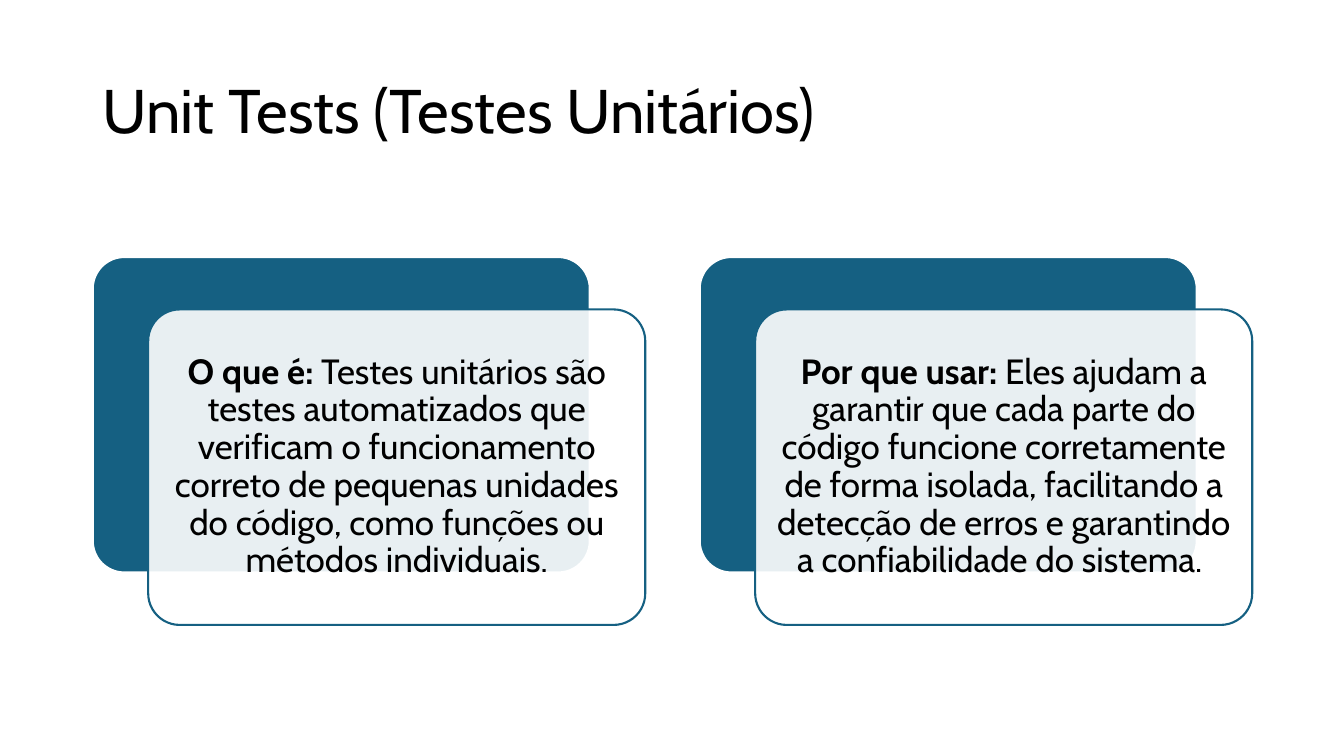
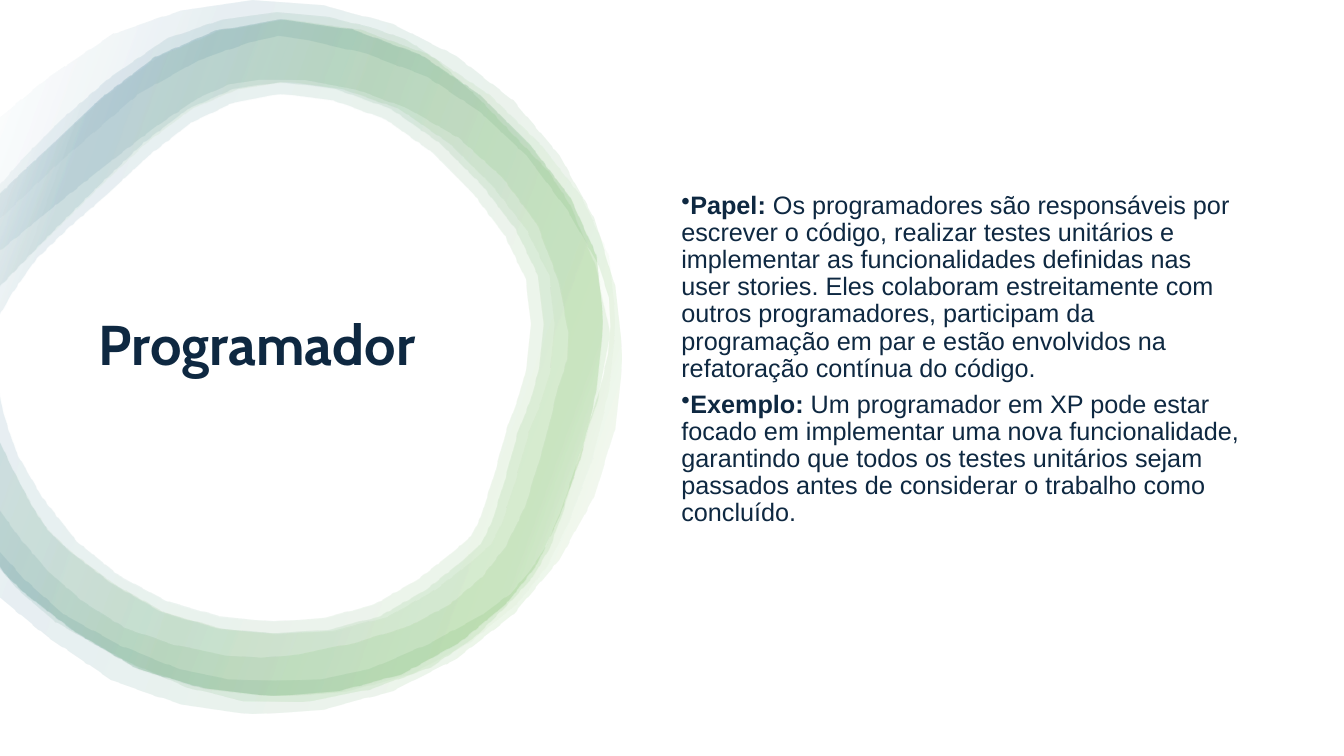
import dataclasses
import math
import typing

import lxml.etree
import pptx
import pptx.dml.color
import pptx.enum.shapes
import pptx.enum.text
import pptx.oxml.ns
import pptx.util

Inches = pptx.util.Inches
RGBColor = pptx.dml.color.RGBColor
Align = pptx.enum.text.PP_ALIGN
qn = pptx.oxml.ns.qn

WHITE = RGBColor(0xFF, 0xFF, 0xFF)
BLACK = RGBColor(0x00, 0x00, 0x00)
BLUE = RGBColor(0x15, 0x60, 0x82)
GREEN = RGBColor(0x4E, 0xA7, 0x2E)
NAVY = RGBColor(0x0E, 0x28, 0x41)
HEADING_FONT = "Cabin"
BODY_FONT = "Arial"
TITLE_ONLY = 5
RING_OPACITY = 10
RING_ANGLE = 200
CURVE_STEPS = 2

Points = list[tuple[float, float]]
Stops = list[tuple[int, RGBColor]]


@dataclasses.dataclass(frozen=True)
class Area:
    left: float
    top: float
    width: float
    height: float

    def lengths(self) -> tuple:
        return tuple(Inches(side) for side in dataclasses.astuple(self))


@dataclasses.dataclass(frozen=True)
class Statement:
    label: str
    text: str


@dataclasses.dataclass(frozen=True)
class Ring:
    outer: Points
    inner: Points
    stops: Stops
    stretch: float = 1.0


CARDS = [
    Statement(
        "O que é:",
        " Testes unitários são testes automatizados que verificam o funcionamento "
        "correto de pequenas unidades do código, como funções ou métodos individuais.",
    ),
    Statement(
        "Por que usar:",
        " Eles ajudam a garantir que cada parte do código funcione corretamente de "
        "forma isolada, facilitando a detecção de erros e garantindo a confiabilidade "
        "do sistema. ",
    ),
]
DUTIES = [
    Statement(
        "Papel:",
        " Os programadores são responsáveis por escrever o código, realizar testes "
        "unitários e implementar as funcionalidades definidas nas user stories. Eles "
        "colaboram estreitamente com outros programadores, participam da programação "
        "em par e estão envolvidos na refatoração contínua do código.",
    ),
    Statement(
        "Exemplo:",
        " Um programador em XP pode estar focado em implementar uma nova "
        "funcionalidade, garantindo que todos os testes unitários sejam passados "
        "antes de considerar o trabalho como concluído.",
    ),
]

WAVY_OUTER = [
    (-0.01, 1.85), (0.6, 1.2), (1.65, 0.39), (2.74, 0.13), (3.72, 0.29), (4.33, 0.6),
    (5.15, 1.41), (5.65, 2.04), (6.04, 3.3), (5.73, 4.54), (5.44, 5.44), (5.04, 5.98),
    (4.27, 6.61), (2.99, 6.96), (1.85, 6.81), (0.55, 6.16), (-0.01, 5.62),
]
WAVY_INNER = [
    (-0.01, 5.04), (0.48, 5.66), (1.24, 6.22), (2.23, 6.49), (2.96, 6.48), (4.06, 6.2),
    (4.77, 5.72), (5.2, 5.02), (5.53, 3.83), (5.63, 3.3), (5.32, 2.23), (4.54, 1.37),
    (3.52, 0.89), (2.58, 0.8), (1.96, 0.98), (1.04, 1.65), (-0.01, 2.5),
]
BAND_OUTER = [
    (-0.01, 1.93), (0.55, 1.4), (1.54, 0.56), (2.78, 0.19), (4.17, 0.54),
    (5.25, 1.43), (5.91, 2.53), (5.91, 3.87), (5.53, 5.15), (5.02, 5.98), (3.99, 6.68),
    (2.7, 6.9), (1.36, 6.63), (0.26, 5.89), (-0.01, 5.59),
]
THIN_INNER = [
    (-0.01, 4.35), (0.33, 5.03), (0.69, 5.46), (1.61, 6.07), (2.7, 6.28),
    (3.76, 6.11), (4.59, 5.55), (4.87, 5.18), (5.13, 4.28), (5.34, 3.66),
    (5.33, 2.73), (4.78, 1.84), (3.88, 1.08), (2.78, 0.81), (1.86, 1.08),
    (0.98, 1.84), (-0.01, 2.85),
]
THICK_INNER = [
    (-0.01, 3.84), (0.17, 4.49), (0.77, 5.37), (1.66, 5.96), (2.71, 6.16),
    (3.71, 5.99), (4.5, 5.46), (4.76, 5.13), (5.02, 4.25), (5.22, 3.62),
    (5.21, 2.77), (4.69, 1.92), (3.82, 1.18), (2.78, 0.93), (1.9, 1.21),
    (1.07, 1.92), (0.36, 2.57), (-0.01, 3.14),
]
CIRCLE_RADIUS = 3.54
CIRCLE_OUTER = [
    (2.62 + CIRCLE_RADIUS * math.cos(angle), CIRCLE_RADIUS * (1 + math.sin(angle)))
    for angle in map(math.radians, range(222, 499, 23))
]
CIRCLE_INNER = [
    (-0.01, 5.45), (0.64, 6.09), (1.78, 6.63), (2.72, 6.74), (3.65, 6.63), (4.77, 6.09),
    (5.23, 5.67), (5.53, 5.11), (5.93, 3.86), (6.04, 3.23), (5.91, 2.6), (5.21, 1.54),
    (4.23, 0.76), (3.07, 0.4), (2.46, 0.42), (1.37, 0.93), (-0.01, 2.18),
]
BAND_STOPS = [(2, WHITE), (16, GREEN), (85, BLUE), (100, WHITE)]
RINGS = [
    Ring(WAVY_OUTER, WAVY_INNER, [(37, GREEN), (85, BLUE), (100, WHITE)]),
    Ring(BAND_OUTER, THIN_INNER, [(2, WHITE), (54, GREEN), (100, WHITE)], 1.02),
    Ring(BAND_OUTER, THICK_INNER, BAND_STOPS),
    Ring(BAND_OUTER, THIN_INNER, BAND_STOPS),
    Ring(CIRCLE_OUTER, CIRCLE_INNER,
         [(2, WHITE), (16, GREEN), (74, BLUE), (100, WHITE)]),
]


def add_span(para: typing.Any, text: str, *, size: float, font: str,
             color: RGBColor, bold: bool = False) -> None:
    span = para.add_run()
    span.text = text
    span.font.size = pptx.util.Pt(size)
    span.font.name = font
    span.font.color.rgb = color
    span.font.bold = bold


def prepare_frame(frame: typing.Any) -> None:
    frame.word_wrap = True
    frame.auto_size = pptx.enum.text.MSO_AUTO_SIZE.NONE
    frame.vertical_anchor = pptx.enum.text.MSO_ANCHOR.MIDDLE


def add_statement(para: typing.Any, statement: Statement, *, align: Align,
                  **style: typing.Any) -> None:
    para.alignment = align
    para.line_spacing = 0.9
    add_span(para, statement.label, bold=True, **style)
    add_span(para, statement.text, **style)


def set_title(page: typing.Any, text: str, area: Area, *, size: float,
              color: RGBColor, bold: bool = False) -> None:
    title = page.shapes.title
    title.left, title.top, title.width, title.height = area.lengths()
    prepare_frame(title.text_frame)
    para = title.text_frame.paragraphs[0]
    para.alignment = Align.LEFT
    para.line_spacing = 0.9
    add_span(para, text, size=size, font=HEADING_FONT, color=color, bold=bold)


def set_opacity(color: typing.Any, percent: int) -> None:
    lxml.etree.SubElement(color, qn("a:alpha")).set("val", str(percent * 1000))


def add_panel(page: typing.Any, area: Area, fill: RGBColor, line: RGBColor) -> typing.Any:
    panel = page.shapes.add_shape(
        pptx.enum.shapes.MSO_SHAPE.ROUNDED_RECTANGLE, *area.lengths())
    panel.adjustments[0] = 0.1
    panel.shadow.inherit = False
    panel.fill.solid()
    panel.fill.fore_color.rgb = fill
    panel.line.color.rgb = line
    panel.line.width = pptx.util.Pt(1.5)
    return panel


def add_card(page: typing.Any, left: float, statement: Statement) -> None:
    back = Area(left, 2.55, 4.93, 3.13)
    add_panel(page, back, BLUE, WHITE)
    front = dataclasses.replace(back, left=left + 0.55, top=back.top + 0.52)
    panel = add_panel(page, front, WHITE, BLUE)
    set_opacity(panel._element.spPr.find(qn("a:solidFill"))[0], 90)
    frame = panel.text_frame
    prepare_frame(frame)
    frame.margin_left = frame.margin_right = Inches(0.1)
    frame.margin_top = frame.margin_bottom = Inches(0.1)
    add_statement(frame.paragraphs[0], statement, align=Align.CENTER,
                  size=25, font=HEADING_FONT, color=BLACK)


def smooth(points: Points) -> Points:
    padded = [points[0], *points, points[-1]]
    curve = [points[0]]
    for before, start, end, after in zip(padded, padded[1:], padded[2:], padded[3:]):
        for step in range(1, CURVE_STEPS + 1):
            t = step / CURVE_STEPS
            curve.append(tuple(
                b + (c - a) * t / 2 + (2 * a - 5 * b + 4 * c - d) * t**2 / 2
                + (3 * b - a - 3 * c + d) * t**3 / 2
                for a, b, c, d in zip(before, start, end, after)))
    return curve


def add_ring(page: typing.Any, ring: Ring) -> None:
    outline = [
        (Inches(x * ring.stretch), Inches(y))
        for x, y in smooth(ring.outer) + smooth(ring.inner)
    ]
    builder = page.shapes.build_freeform(*outline[0], scale=1.0)
    builder.add_line_segments(outline[1:], close=True)
    shape = builder.convert_to_shape()
    shape.shadow.inherit = False
    shape.line.fill.background()
    shape.fill.gradient()
    gradient = shape._element.spPr.find(qn("a:gradFill"))
    gradient.find(qn("a:lin")).set("ang", str(RING_ANGLE * 60000))
    stop_list = gradient.find(qn("a:gsLst"))
    for old_stop in list(stop_list):
        stop_list.remove(old_stop)
    for position, color in ring.stops:
        stop = lxml.etree.SubElement(stop_list, qn("a:gs"))
        stop.set("pos", str(position * 1000))
        value = lxml.etree.SubElement(stop, qn("a:srgbClr"))
        value.set("val", str(color))
        set_opacity(value, RING_OPACITY)


def add_bullets(page: typing.Any, area: Area, statements: list[Statement]) -> None:
    frame = page.shapes.add_textbox(*area.lengths()).text_frame
    prepare_frame(frame)
    for index, statement in enumerate(statements):
        para = frame.add_paragraph() if index else frame.paragraphs[0]
        add_statement(para, statement, align=Align.LEFT,
                      size=18, font=BODY_FONT, color=NAVY)
        para.space_after = pptx.util.Pt(6)
        bullet = lxml.etree.SubElement(para._p.get_or_add_pPr(), qn("a:buChar"))
        bullet.set("char", "•")


def build_unit_tests(deck: typing.Any) -> None:
    page = deck.slides.add_slide(deck.slide_layouts[TITLE_ONLY])
    set_title(page, "Unit Tests (Testes Unitários)", Area(0.92, 0.4, 11.5, 1.45),
              size=44, color=BLACK)
    for index, statement in enumerate(CARDS):
        add_card(page, 0.92 + index * 6.02, statement)


def build_programmer(deck: typing.Any) -> None:
    page = deck.slides.add_slide(deck.slide_layouts[TITLE_ONLY])
    for ring in RINGS:
        add_ring(page, ring)
    set_title(page, "Programador", Area(0.88, 2.25, 4.01, 2.4),
              size=40, color=NAVY, bold=True)
    add_bullets(page, Area(6.66, 0.88, 5.8, 5.38), DUTIES)


def main() -> None:
    deck = pptx.Presentation()
    deck.slide_width, deck.slide_height = Inches(13.33), Inches(7.5)
    build_unit_tests(deck)
    build_programmer(deck)
    deck.save("out.pptx")


if __name__ == "__main__":
    main()
